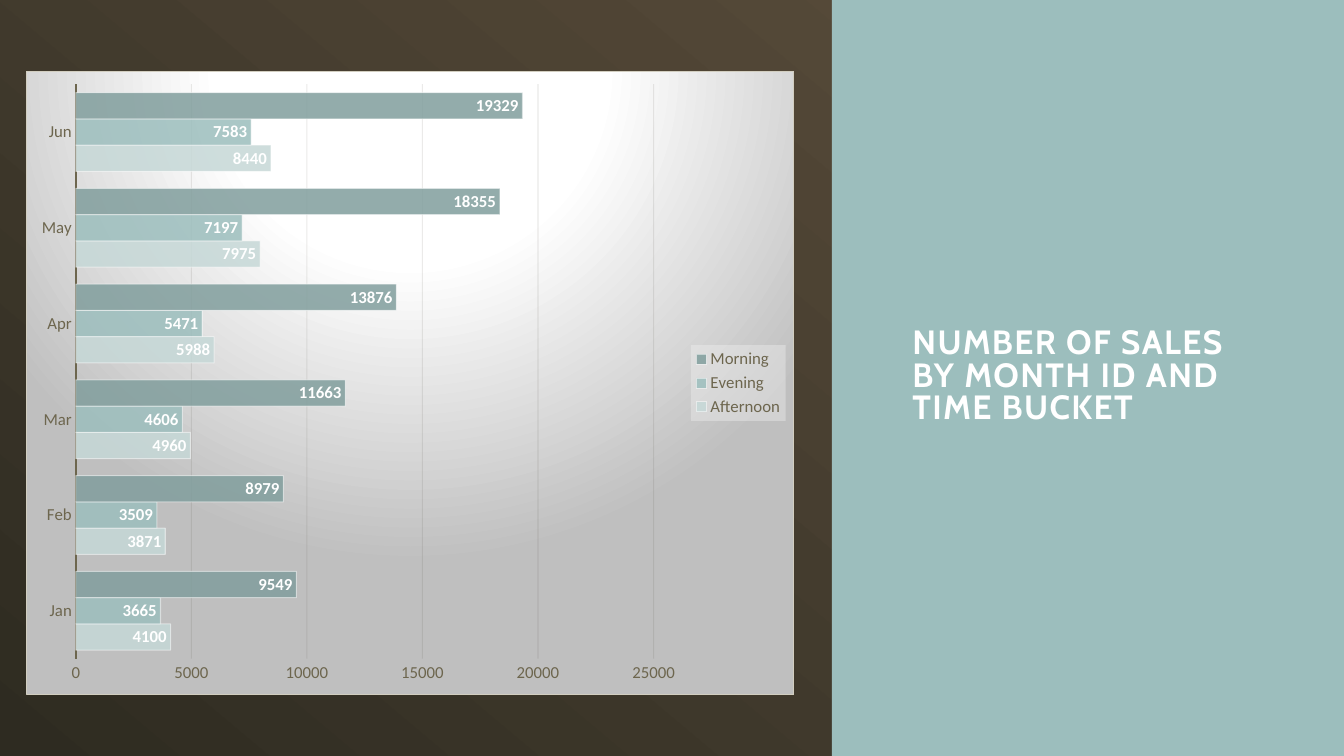
from lxml import etree
from pptx import Presentation
from pptx.chart.data import CategoryChartData
from pptx.dml.color import RGBColor
from pptx.enum.chart import (XL_CHART_TYPE as CT, XL_LABEL_POSITION as LP,
                             XL_LEGEND_POSITION as LEG, XL_TICK_MARK as TICK)
from pptx.enum.shapes import MSO_SHAPE
from pptx.enum.text import MSO_ANCHOR, MSO_AUTO_SIZE, PP_ALIGN
from pptx.oxml import parse_xml
from pptx.oxml.ns import nsdecls, qn
from pptx.util import Inches, Pt

MONTHS = ["Jan", "Feb", "Mar", "Apr", "May", "Jun"]
SALES = [
    ("Afternoon", "C6D8D7", [4100, 3871, 4960, 5988, 7975, 8440]),
    ("Evening", "9CBEBD", [3665, 3509, 4606, 5471, 7197, 7583]),
    ("Morning", "819E9D", [9549, 8979, 11663, 13876, 18355, 19329]),
]


def rgb(value):
    return RGBColor.from_string(value)


def set_alpha(fmt, percent):
    """Make the solid colour of a fill or line format element translucent."""
    color = fmt.find(".//" + qn("a:srgbClr"))
    etree.SubElement(color, qn("a:alpha")).set("val", str(percent * 1000))


class SlideBuilder:
    head_font, body_font = "Cabin", "Calibri"
    accent, ink, white = "9CBEBD", "6D664E", "FFFFFF"

    def __init__(self, prs):
        self.s = prs.slides.add_slide(prs.slide_layouts[5])

    def style(self, font, size, color, name=None, bold=False):
        font.name, font.size, font.bold = name or self.body_font, Pt(size), bold
        font.color.rgb = rgb(color)

    def background(self, start, end, angle):
        fill = self.s.background.fill
        fill.gradient()
        fill.gradient_angle = 360 - angle
        for stop, color, pos in zip(fill.gradient_stops, (start, end), (0, 1)):
            stop.color.rgb, stop.position = rgb(color), pos

    def panel(self, x, y, w, h):
        sp = self.s.shapes.add_shape(MSO_SHAPE.RECTANGLE, Inches(x), Inches(y),
                                     Inches(w), Inches(h))
        sp.shadow.inherit = False
        sp.fill.solid()
        sp.fill.fore_color.rgb = rgb(self.accent)
        sp.line.fill.background()
        # Keep the panel behind the title
        self.s.shapes.title._element.addprevious(sp._element)

    def title(self, text, x, y, w, h):
        sp = self.s.shapes.title
        sp.left, sp.top, sp.width, sp.height = map(Inches, (x, y, w, h))
        tf = sp.text_frame
        tf.word_wrap, tf.auto_size = True, MSO_AUTO_SIZE.NONE
        tf.vertical_anchor = MSO_ANCHOR.MIDDLE
        p = tf.paragraphs[0]
        p.alignment, p.line_spacing = PP_ALIGN.LEFT, 0.8
        r = p.add_run()
        r.text = text
        self.style(r.font, 24, self.white, self.head_font, True)
        r.font._element.set("spc", "100")

    def bar_chart(self, x, y, w, h):
        data = CategoryChartData()
        data.categories = MONTHS
        for name, _, values in SALES:
            data.add_series(name, values)
        chart = self.s.shapes.add_chart(CT.BAR_CLUSTERED, Inches(x), Inches(y),
                                        Inches(w), Inches(h), data).chart
        chart.has_title = False
        self.style(chart.font, 10, self.white)
        self.bars(chart.plots[0])
        self.axes(chart)
        self.legend(chart)
        self.chart_area(chart)

    def bars(self, plot):
        plot.gap_width, plot.overlap, plot.vary_by_categories = 65, 0, False
        for series, (_, color, _) in zip(plot.series, SALES):
            fmt = series.format
            fmt.fill.solid()
            fmt.fill.fore_color.rgb = rgb(color)
            sp_pr = series._element.find(qn("c:spPr"))
            set_alpha(sp_pr, 85)
            fmt.line.width = Pt(0.75)
            fmt.line.color.rgb = rgb(self.white)
            set_alpha(sp_pr.find(qn("a:ln")), 50)
            labels = series.data_labels
            labels.show_value, labels.position = True, LP.INSIDE_END
            self.style(labels.font, 12, self.white, bold=True)

    def axes(self, chart):
        cat, val = chart.category_axis, chart.value_axis
        for axis in (cat, val):
            axis.major_tick_mark = axis.minor_tick_mark = TICK.NONE
            self.style(axis.tick_labels.font, 12, self.ink)
        cat.has_major_gridlines = False
        cat.format.line.width = Pt(1.5)
        cat.format.line.color.rgb = rgb(self.ink)
        val.minimum_scale, val.maximum_scale, val.major_unit = 0, 25000, 5000
        val.format.line.fill.background()
        val.has_major_gridlines = True
        grid = val.major_gridlines.format.line
        grid.width = Pt(0.75)
        grid.color.rgb = rgb("3B372A")
        set_alpha(val._element.find(qn("c:majorGridlines")), 10)

    def legend(self, chart):
        chart.has_legend = True
        legend = chart.legend
        legend.position, legend.include_in_layout = LEG.RIGHT, False
        self.style(legend.font, 12, self.ink)
        legend._element.find(qn("c:txPr")).addprevious(parse_xml(
            f'<c:spPr {nsdecls("c", "a")}><a:solidFill><a:srgbClr val="F2F2F2">'
            '<a:alpha val="39000"/></a:srgbClr></a:solidFill></c:spPr>'))

    def chart_area(self, chart):
        # Radial fill and thin border around the whole chart
        stops = "".join(f'<a:gs pos="{pos * 1000}"><a:srgbClr val="{c}"/></a:gs>'
                        for pos, c in ((0, "FFFFFF"), (39, "FFFFFF"), (100, "BFBFBF")))
        root = chart._chartSpace
        root.find(qn("c:txPr")).addprevious(parse_xml(
            f'<c:spPr {nsdecls("c", "a")}><a:gradFill><a:gsLst>{stops}</a:gsLst>'
            '<a:path path="circle"><a:fillToRect l="50000" t="-80000" r="50000" '
            'b="180000"/></a:path></a:gradFill><a:ln w="9525"><a:solidFill>'
            '<a:srgbClr val="D2CEC0"/></a:solidFill></a:ln></c:spPr>'))
        # Inner plot area as fractions of the chart
        area = root.find(".//" + qn("c:plotArea"))
        for old in area.findall(qn("c:layout")):
            area.remove(old)
        sizes = "".join(f'<c:{k} val="{v}"/>' for k, v in
                        (("x", 0.064), ("y", 0.021), ("w", 0.753), ("h", 0.921)))
        area.insert(0, parse_xml(
            f'<c:layout {nsdecls("c")}><c:manualLayout><c:layoutTarget val="inner"/>'
            f'<c:xMode val="edge"/><c:yMode val="edge"/>{sizes}'
            '</c:manualLayout></c:layout>'))


def main():
    prs = Presentation()
    prs.slide_width, prs.slide_height = Inches(13.33), Inches(7.5)
    b = SlideBuilder(prs)

    # Backdrop and title panel
    b.background("5F513E", "2E2B21", 130)
    b.panel(8.25, 0, 5.08, 7.5)
    b.title("NUMBER OF SALES BY MONTH ID AND TIME BUCKET", 8.95, 0.7, 3.74, 6.09)

    # Sales by month and time of day
    b.bar_chart(0.26, 0.7, 7.62, 6.2)
    prs.save("out.pptx")


if __name__ == "__main__":
    main()
